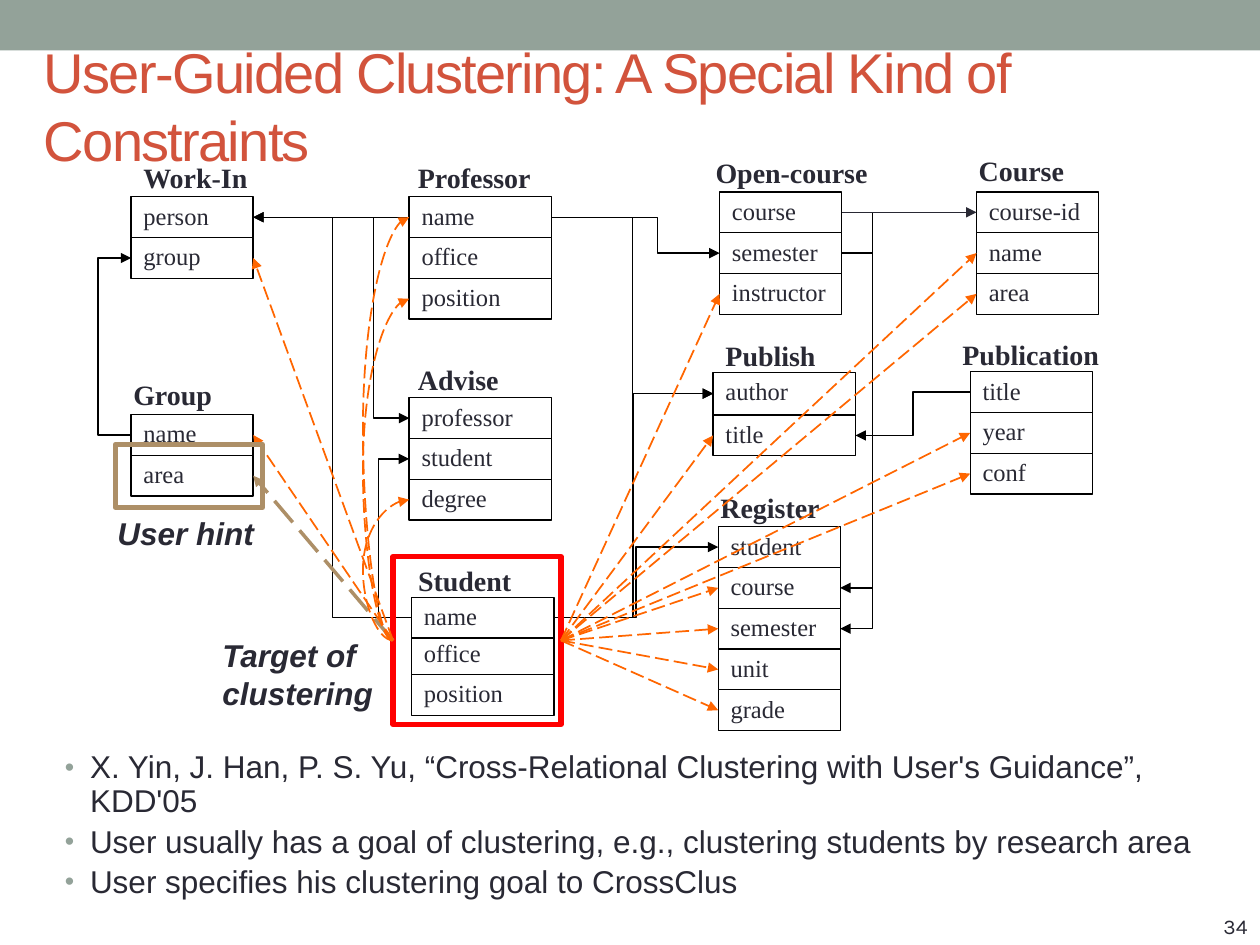
"""Build a slide on user-guided clustering across a relational schema."""
from lxml import etree
from pptx import Presentation
from pptx.dml.color import RGBColor
from pptx.enum.dml import MSO_LINE
from pptx.enum.shapes import MSO_CONNECTOR, MSO_SHAPE
from pptx.enum.text import MSO_ANCHOR, PP_ALIGN
from pptx.oxml.ns import qn
from pptx.util import Pt

RECTANGLE = MSO_SHAPE.RECTANGLE
STRAIGHT, ELBOW, CURVE = MSO_CONNECTOR.STRAIGHT, MSO_CONNECTOR.ELBOW, MSO_CONNECTOR.CURVE
LONG_DASH = MSO_LINE.LONG_DASH
TOP, MIDDLE, BOTTOM = MSO_ANCHOR.TOP, MSO_ANCHOR.MIDDLE, MSO_ANCHOR.BOTTOM
LEFT_ALIGN, RIGHT_ALIGN = PP_ALIGN.LEFT, PP_ALIGN.RIGHT
LEFT, RIGHT = 1, 3

WHITE = RGBColor(0xFF, 0xFF, 0xFF)
BLACK = RGBColor(0, 0, 0)
INK = RGBColor(0x29, 0x29, 0x34)
SAGE = RGBColor(0x93, 0xA2, 0x99)
RUST = RGBColor(0xD2, 0x53, 0x3C)
RED = RGBColor(0xFF, 0, 0)
ORANGE = RGBColor(0xFF, 0x66, 0)
TAN = RGBColor(0xAD, 0x8F, 0x67)

SANS, SERIF, NUMBER_FONT = "Arial", "Times New Roman", "Karla"
ROW_HEIGHT = 23.3
NARROW, WIDE = 69.8, 81.4
CELL_INSETS = (7.2, 2.2, 7.2, 3.6)

RELATIONS = [
    ("Professor", (231.8, 89.3, 81.4), (233.8, 112.5, WIDE), ["name", "office", "position"]),
    ("Course", (552.2, 85.7, 81.4), (558, 109.7, NARROW), ["course-id", "name", "area"]),
    ("Open-course", (401.8, 86.4, 113.8), (411.2, 109.7, NARROW),
     ["course", "semester", "instructor"]),
    ("Student", (231.8, 319.7, 95), (235.2, 341.3, WIDE), ["name", "office", "position"]),
    ("Register", (404.6, 278, 97.2), (410.4, 301, NARROW),
     ["student", "course", "semester", "unit", "grade"]),
    ("Advise", (231.8, 205.2, 81.4), (233.8, 227.3, WIDE), ["professor", "student", "degree"]),
    ("Group", (69.1, 213.8, 69.8), (74.9, 236.9, NARROW), ["name", "area"]),
    ("Work-In", (74.9, 89.3, 81.4), (74.9, 112.5, NARROW), ["person", "group"]),
    ("Publication", (542.9, 190.8, 92.9), (554.4, 212.4, NARROW), ["title", "year", "conf"]),
    ("Publish", (407.5, 191.5, 69.8), (407.5, 212.7, WIDE), ["author", "title"]),
]
FIRST_STEPS = {"Student": 20.9, "Publish": 24.5}

JOINS = [
    (("Professor", "name"), LEFT, ("Advise", "professor"), LEFT, 216),
    (("Professor", "name"), RIGHT, ("Open-course", "semester"), LEFT, 375.8),
    (("Student", "name"), LEFT, ("Advise", "student"), LEFT, 216),
    (("Student", "name"), LEFT, ("Work-In", "person"), RIGHT, 190),
    (("Group", "name"), LEFT, ("Work-In", "group"), LEFT, 58.3),
    (("Student", "name"), RIGHT, ("Register", "student"), LEFT, 363.5),
    (("Open-course", "course"), RIGHT, ("Register", "course"), RIGHT, 498.6),
    (("Open-course", "semester"), RIGHT, ("Register", "semester"), RIGHT, 498.6),
    (("Publication", "title"), LEFT, ("Publish", "title"), RIGHT, 521.8),
    (("Student", "name"), RIGHT, ("Publish", "author"), LEFT, 361.8),
    (("Professor", "name"), RIGHT, ("Publish", "author"), LEFT, 361.4),
]
LEFT_FEATURES = [("Group", "name"), ("Work-In", "group")]
RIGHT_FEATURES = [
    ("Register", "course"), ("Register", "semester"), ("Register", "unit"),
    ("Register", "grade"), ("Publish", "title"), ("Publication", "conf"),
    ("Publication", "year"), ("Open-course", "instructor"), ("Course", "area"),
    ("Course", "name"),
]
CURVED_FEATURES = [("Professor", "name"), ("Professor", "position"), ("Advise", "degree")]
POINTS = [
    "X. Yin, J. Han, P. S. Yu, “Cross-Relational Clustering with User's Guidance”, KDD'05",
    "User usually has a goal of clustering, e.g., clustering students by research area",
    "User specifies his clustering goal to CrossClus",
]


class SchemaSlide:
    """Hold the text style and the slide, and draw each kind of element on it."""

    def __init__(self, slide, color=INK):
        self.shapes = slide.shapes
        self.color = color

    def fill_text(self, frame, lines, size, font=SANS, color=None, bold=False, italic=False,
                  anchor=TOP, align=LEFT_ALIGN, insets=(7.2, 3.6, 7.2, 3.6)):
        frame.word_wrap = True
        frame.vertical_anchor = anchor
        (frame.margin_left, frame.margin_top,
         frame.margin_right, frame.margin_bottom) = map(Pt, insets)
        for index, line in enumerate(lines):
            paragraph = frame.add_paragraph() if index else frame.paragraphs[0]
            paragraph.alignment = align
            run = paragraph.add_run()
            run.text = line
            run.font.size, run.font.name = Pt(size), font
            run.font.bold, run.font.italic = bold, italic
            run.font.color.rgb = color or self.color
        return frame.paragraphs

    def text(self, box, lines, size, **style):
        frame = self.shapes.add_textbox(*map(Pt, box)).text_frame
        return self.fill_text(frame, lines, size, **style)

    def rectangle(self, box, fill=None, line=None, weight=0.75):
        shape = self.shapes.add_shape(RECTANGLE, *map(Pt, box))
        shape.shadow.inherit = False
        if fill is None:
            shape.fill.background()
        else:
            shape.fill.solid()
            shape.fill.fore_color.rgb = fill
        if line is None:
            shape.line.fill.background()
        else:
            shape.line.color.rgb, shape.line.width = line, Pt(weight)
        return shape

    def relation(self, title, label, place, fields):
        self.text((*label, 23), [title], 16, font=SERIF, bold=True, insets=CELL_INSETS)
        left, top, width = place
        first_step = FIRST_STEPS.get(title, ROW_HEIGHT)
        rows = {}
        for index, field in reversed(list(enumerate(fields))):
            offset = first_step + (index - 1) * ROW_HEIGHT if index else 0
            height = ROW_HEIGHT if index else max(first_step, ROW_HEIGHT)
            row = self.rectangle((left, top + offset, width, height), WHITE, BLACK)
            self.fill_text(row.text_frame, [field], 14, font=SERIF, insets=CELL_INSETS)
            rows[field] = row
        return rows

    def arrow(self, source, source_side, target, target_side, color=BLACK, weight=0.75,
              dash=None, kind=STRAIGHT, bend=None):
        arrow = self.shapes.add_connector(kind, 0, 0, 0, 0)
        arrow.begin_connect(source, source_side)
        arrow.end_connect(target, target_side)
        if bend is not None:
            if arrow.begin_x == arrow.end_x:
                arrow.end_x = arrow.begin_x + Pt(0.1)
            ratio = (Pt(bend) - arrow.begin_x) / (arrow.end_x - arrow.begin_x)
            guides = arrow._element.spPr.find(qn("a:prstGeom")).find(qn("a:avLst"))
            etree.SubElement(guides, qn("a:gd"), name="adj1", fmla=f"val {round(ratio * 100000)}")
        arrow.line.color.rgb, arrow.line.width = color, Pt(weight)
        if dash is not None:
            arrow.line.dash_style = dash
        outline = arrow._element.spPr.find(qn("a:ln"))
        etree.SubElement(outline, qn("a:tailEnd"), type="triangle")
        etree.SubElement(arrow._element.spPr, qn("a:effectLst"))

    def bullets(self, box, lines):
        for paragraph in self.text(box, lines, 18):
            paragraph.line_spacing, paragraph.space_before = 0.9, Pt(3.6)
            properties = paragraph._p.get_or_add_pPr()
            properties.set("marL", str(Pt(14.4)))
            properties.set("indent", str(-Pt(14.4)))
            bullet_color = etree.SubElement(properties, qn("a:buClr"))
            etree.SubElement(bullet_color, qn("a:srgbClr"), val=str(SAGE))
            etree.SubElement(properties, qn("a:buSzPct"), val="85000")
            etree.SubElement(properties, qn("a:buFont"), typeface=SANS)
            etree.SubElement(properties, qn("a:buChar"), char="•")


def main():
    deck = Presentation()
    deck.slide_width, deck.slide_height = Pt(720), Pt(540)
    schema = SchemaSlide(deck.slides.add_slide(deck.slide_layouts[6]))

    schema.rectangle((0, 0, 720, 28.8), SAGE)
    schema.text((570, 510, 150, 30), ["34"], 12, font=NUMBER_FONT, anchor=BOTTOM,
                align=RIGHT_ALIGN)
    heading = schema.text((18, 18, 720, 84), ["User-Guided Clustering: A Special Kind of Constraints"],
                          32, color=RUST, anchor=MIDDLE)
    heading[0].runs[0]._r.get_or_add_rPr().set("spc", "-100")

    tables = {relation[0]: schema.relation(*relation) for relation in RELATIONS}
    for (source, key), source_side, (target, field), target_side, bend in JOINS:
        schema.arrow(tables[source][key], source_side, tables[target][field], target_side,
                     kind=ELBOW, bend=bend)
    schema.arrow(tables["Professor"]["name"], LEFT, tables["Work-In"]["person"], RIGHT)
    schema.arrow(tables["Open-course"]["course"], RIGHT, tables["Course"]["course-id"], LEFT,
                 color=INK)

    goal = schema.rectangle((224.6, 318, 96, 96), line=RED, weight=3)
    schema.text((120, 360, 108, 50), ["Target of clustering"], 18, bold=True, italic=True)
    schema.arrow(goal, LEFT, tables["Group"]["area"], RIGHT, TAN, 2, LONG_DASH)
    for features, side, end in ((LEFT_FEATURES, LEFT, RIGHT), (RIGHT_FEATURES, RIGHT, LEFT)):
        for table, field in features:
            schema.arrow(goal, side, tables[table][field], end, ORANGE, 1, LONG_DASH)
    for table, field in CURVED_FEATURES:
        schema.arrow(goal, LEFT, tables[table][field], LEFT, ORANGE, 1, LONG_DASH, CURVE, 207.4)

    schema.rectangle((66, 254, 84, 36), line=TAN, weight=3)
    schema.text((60, 290, 96, 29), ["User hint"], 18, bold=True, italic=True)
    schema.bullets((30, 426, 672.5, 96), POINTS)
    deck.save("out.pptx")


if __name__ == "__main__":
    main()
